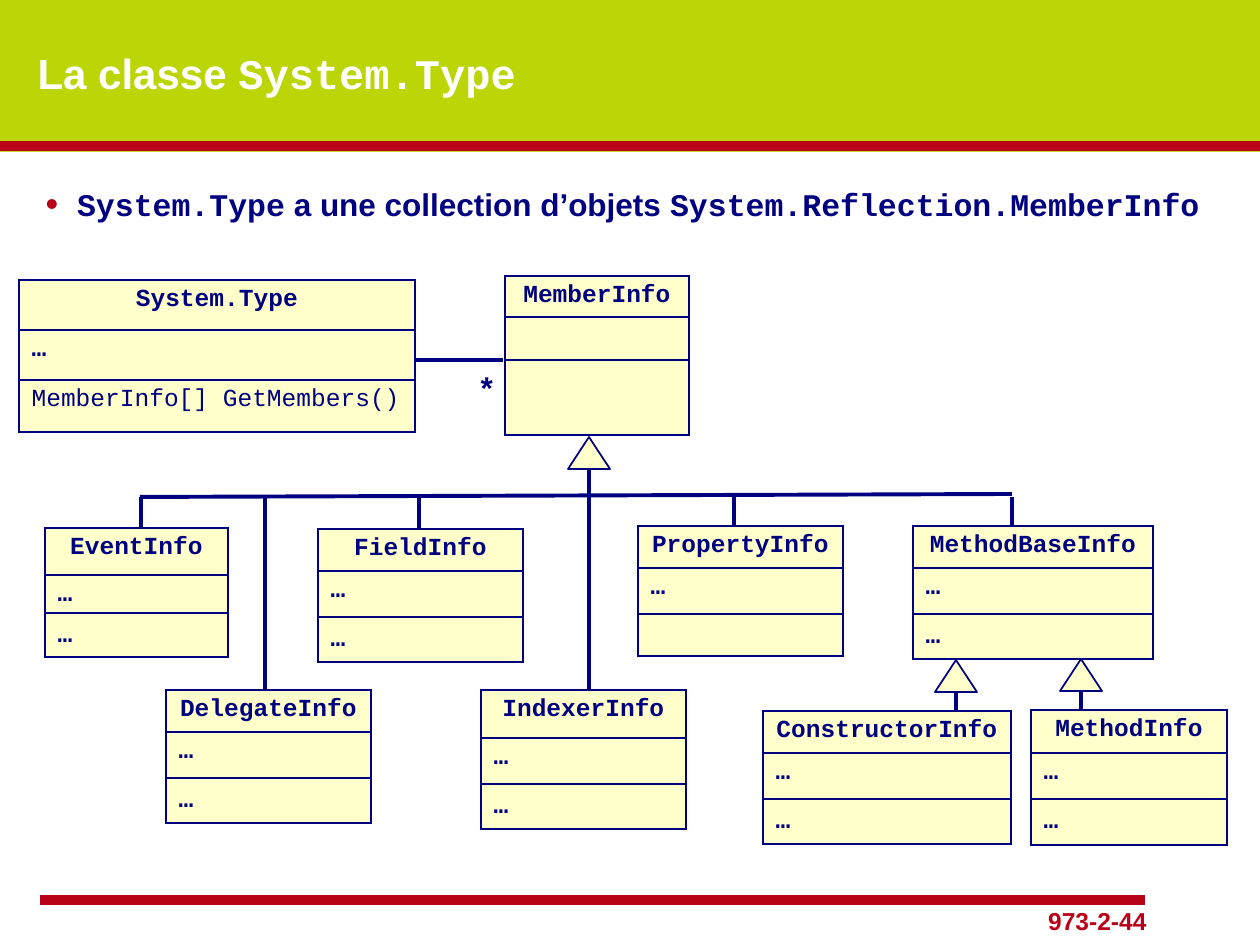
from dataclasses import dataclass

import lxml.etree
import pptx
import pptx.dml.color
import pptx.enum.shapes
import pptx.enum.text
import pptx.oxml
import pptx.oxml.ns
import pptx.util

RGB = pptx.dml.color.RGBColor
ALIGN = pptx.enum.text.PP_ALIGN
SHAPE = pptx.enum.shapes.MSO_SHAPE
EMU_PER_PX = 914400 / 126
A_NS = pptx.oxml.ns.nsdecls("a")


@dataclass(frozen=True)
class Theme:
    green: RGB = RGB.from_string("BCD507")
    red: RGB = RGB.from_string("B90117")
    navy: RGB = RGB.from_string("000080")
    cream: RGB = RGB.from_string("FFFFCC")
    white: RGB = RGB.from_string("FFFFFF")
    sans: str = "Arial"
    mono: str = "Courier New"
    title_size: int = 24
    body_size: int = 18
    small_size: int = 14
    thin: float = 1
    link: float = 2.25
    rule: float = 6


theme = Theme()


def px(*lengths):
    return [pptx.util.Emu(round(length * EMU_PER_PX)) for length in lengths]


def style(paragraph, size, color, name, bold=True):
    font = paragraph.font
    font.size, font.bold, font.name = pptx.util.Pt(size), bold, name
    font.color.rgb = color


deck = pptx.Presentation()
deck.slide_width, deck.slide_height = px(1260, 945)
page = deck.slides.add_slide(deck.slide_layouts[1])
page.background.fill.solid()
page.background.fill.fore_color.rgb = theme.green
shapes = page.shapes
title, body = shapes.title, page.placeholders[1]

# White panel, moved behind the placeholders
panel = shapes.add_shape(SHAPE.RECTANGLE, *px(0, 152, 1260, 793))
panel.shadow.inherit = False
panel.fill.solid()
panel.fill.fore_color.rgb = theme.white
panel.line.fill.background()
title._element.addprevious(panel._element)

# Title and bullet
title.left, title.top, title.width, title.height = px(25, 23, 1074, 100)
body.left, body.top, body.width, body.height = px(33, 179, 1196, 50)
headings = [
    (title, theme.title_size, theme.white, pptx.enum.text.MSO_ANCHOR.MIDDLE,
     [("La classe ", theme.sans), ("System.Type", theme.mono)]),
    (body, theme.body_size, theme.navy, pptx.enum.text.MSO_ANCHOR.TOP,
     [("System.Type", theme.mono), (" a une collection d’objets ", theme.sans),
      ("System.Reflection.MemberInfo", theme.mono)]),
]
for holder, size, color, anchor, pieces in headings:
    frame = holder.text_frame
    frame.auto_size = pptx.enum.text.MSO_AUTO_SIZE.NONE
    frame.vertical_anchor = anchor
    para = frame.paragraphs[0]
    para.alignment = ALIGN.LEFT
    style(para, size, color, theme.sans)
    for text, font_name in pieces:
        span = para.add_run()
        span.text, span.font.name = text, font_name

for span in title.text_frame.paragraphs[0].runs:
    span.font._element.insert(0, pptx.oxml.parse_xml(
        f'<a:effectLst {A_NS}><a:outerShdw dist="35921" dir="2700000">'
        '<a:srgbClr val="000000"/></a:outerShdw></a:effectLst>'))

bullet = body.text_frame.paragraphs[0]
bullet.space_before = pptx.util.Pt(theme.small_size)
bullet_props = bullet._element.get_or_add_pPr()
bullet_props.set("marL", "228600")
bullet_props.set("indent", "-228600")
default_font = bullet_props.find(pptx.oxml.ns.qn("a:defRPr"))
for xml in (f'<a:buClr {A_NS}><a:srgbClr val="{theme.red}"/></a:buClr>',
            f'<a:buSzPct {A_NS} val="115000"/>',
            f'<a:buChar {A_NS} char="•"/>'):
    default_font.addprevious(pptx.oxml.parse_xml(xml))

# Red rules, then links: from x, from y, to x, to y
rules = [(40, 900, 1145, 900), (0, 146, 1260, 146)]
bus_y = 497
links = [
    (503, 360, 416, 360),
    (589, 470, 589, 494),
    (1012, 494, 140, bus_y),
    (1081, 690, 1081, 709),
    (956, 692, 956, 712),
]
drops = [(141, 528), (265, 690), (419, 529), (589, 690), (734, 526), (1012, 526)]
links += [(x, bus_y, x, bottom) for x, bottom in drops]
for color, width, ends in ((theme.red, theme.rule, rules), (theme.navy, theme.link, links)):
    for end in ends:
        line = shapes.add_connector(pptx.enum.shapes.MSO_CONNECTOR.STRAIGHT, *px(*end))
        line.line.color.rgb = color
        line.line.width = pptx.util.Pt(width)
        lxml.etree.SubElement(line._element.spPr, pptx.oxml.ns.qn("a:effectLst"))

# Class boxes: name, left, top, width, row heights, attributes, methods
usual_rows = (42, 46, 45)
classes = [
    ("System.Type", 19, 280, 396, (50, 50, 52), "…", "MemberInfo[] GetMembers()"),
    ("MemberInfo", 505, 276, 184, (41, 43, 75), "", ""),
    ("EventInfo", 45, 528, 183, (47, 38, 44), "…", "…"),
    ("FieldInfo", 318, 529, 205, usual_rows, "…", "…"),
    ("PropertyInfo", 638, 526, 205, (42, 46, 42), "…", ""),
    ("MethodBaseInfo", 913, 526, 240, usual_rows, "…", "…"),
    ("DelegateInfo", 166, 690, 205, usual_rows, "…", "…"),
    ("IndexerInfo", 481, 690, 205, (48, 46, 45), "…", "…"),
    ("ConstructorInfo", 763, 711, 248, usual_rows, "…", "…"),
    ("MethodInfo", 1031, 710, 196, (43, 46, 46), "…", "…"),
]
for name, left, top, width, heights, attributes, methods in classes:
    table = shapes.add_table(3, 1, *px(left, top, width, sum(heights))).table
    table.first_row = table.horz_banding = False
    for index, text in enumerate((name, attributes, methods)):
        table.rows[index].height = px(heights[index])[0]
        cell = table.cell(index, 0)
        cell.fill.solid()
        cell.fill.fore_color.rgb = theme.cream
        cell.text = text
        para = cell.text_frame.paragraphs[0]
        para.alignment = ALIGN.LEFT if index else ALIGN.CENTER
        para.space_before = pptx.util.Pt(theme.small_size)
        if text == "…":
            para.line_spacing = (1.0, 0.9, 1.1)[index]
        style(para, theme.small_size, theme.navy, theme.mono, bold="(" not in text)
        for position, side in enumerate("LRTB"):
            cell._tc.get_or_add_tcPr().insert(position, pptx.oxml.parse_xml(
                f'<a:ln{side} {A_NS} w="{pptx.util.Pt(theme.thin)}"><a:solidFill>'
                f'<a:srgbClr val="{theme.navy}"/></a:solidFill></a:ln{side}>'))

# Inheritance arrowheads
for left, top in ((568, 437), (1060, 659), (935, 660)):
    triangle = shapes.add_shape(SHAPE.ISOSCELES_TRIANGLE, *px(left, top, 42, 32))
    triangle.shadow.inherit = False
    triangle.fill.solid()
    triangle.fill.fore_color.rgb = theme.cream
    triangle.line.color.rgb = theme.navy
    triangle.line.width = pptx.util.Pt(theme.thin)

# Multiplicity mark and page number
labels = [
    ("*", (467, 362, 40, 50), theme.body_size, theme.navy, ALIGN.LEFT),
    ("973-2-44", (960, 900, 199, 42), theme.small_size, theme.red, ALIGN.RIGHT),
]
for text, place, size, color, alignment in labels:
    box = shapes.add_textbox(*px(*place))
    box.text_frame.word_wrap = True
    para = box.text_frame.paragraphs[0]
    para.text, para.alignment = text, alignment
    style(para, size, color, theme.sans)
    para.font.italic = text == "*"

deck.save("out.pptx")
